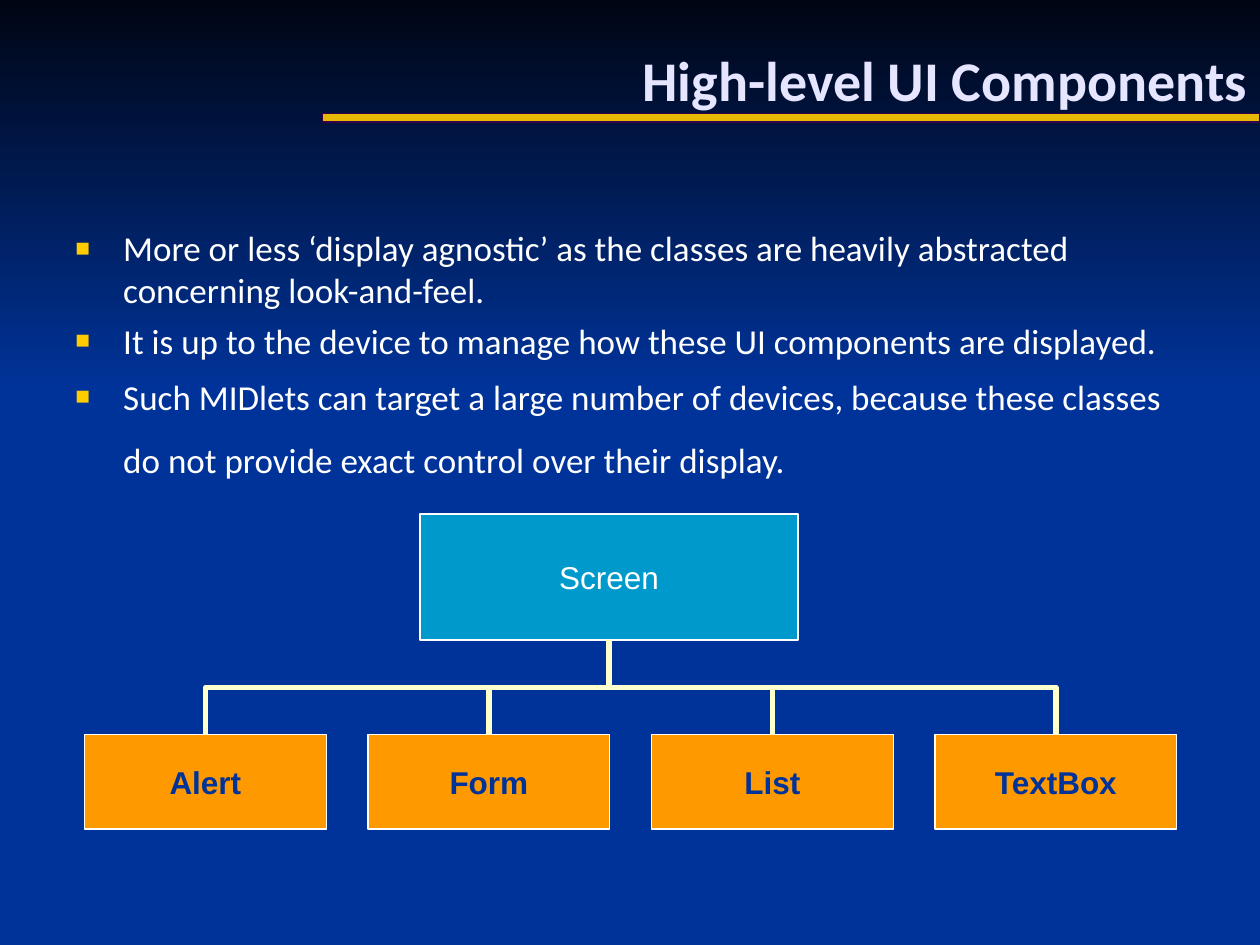
from pptx import Presentation
from pptx.util import Inches, Pt
from pptx.dml.color import RGBColor
from pptx.enum.shapes import MSO_SHAPE, MSO_CONNECTOR
from pptx.enum.text import PP_ALIGN, MSO_ANCHOR
from pptx.oxml.ns import qn
from lxml.etree import SubElement

# Content
TITLE = "High-level UI Components"
POINTS = [  # space before in points, then runs of text and size
    (0, [("More or less ‘display agnostic’ as the classes are heavily "
          "abstracted concerning look-and-feel.", 20)]),
    (5, [("It is up to the device to manage how these UI components "
          "are displayed.", 20)]),
    (8, [("Such MIDlets can target a large number of devices, because these "
          "classes do not provide exact control over their display.", 20),
         (" ", 32)]),
]
ROOT = "Screen"
KIDS = ["Alert", "Form", "List", "TextBox"]

# Style
HUE = {"navy": "003399", "night": "000514", "gold": "FFCC00",
       "edge": "380147", "pale": "E5E5FF", "white": "FFFFFF",
       "teal": "0099CC", "orange": "FF9900", "cream": "FFFFCC"}

# Grid, in inches
WIDE, HIGH = 10, 7.5
SKY = 3.09
LEFT, STEP = 0.67, 2.25
KID_W, KID_H, KID_Y = 1.92, 0.75, 5.83
ROOT_BOX = (WIDE / 3, 4.08, 3, 1)


def rgb(name):
    return RGBColor.from_string(HUE[name])


def add_run(para, text, size, font, hue, bold=False):
    run = para.add_run()
    run.text = text
    run.font.size = Pt(size)
    run.font.name = font
    run.font.bold = bold
    run.font.color.rgb = rgb(hue)


def add_rect(spot, hue, edge=None):
    rect = slide.shapes.add_shape(MSO_SHAPE.RECTANGLE, *map(Inches, spot))
    rect.shadow.inherit = False
    rect.fill.solid()
    rect.fill.fore_color.rgb = rgb(hue)
    if edge:
        rect.line.color.rgb = rgb(edge)
        rect.line.width = Pt(0.75)
    else:
        rect.line.fill.background()
    return rect


def add_node(spot, text, hue, ink, bold):
    node = add_rect(spot, hue, "white")
    node.text_frame.vertical_anchor = MSO_ANCHOR.MIDDLE
    para = node.text_frame.paragraphs[0]
    para.alignment = PP_ALIGN.CENTER
    add_run(para, text, 18, "Arial", ink, bold)
    return node


def add_text(spot):
    frame = slide.shapes.add_textbox(*map(Inches, spot)).text_frame
    frame.word_wrap = True
    return frame


def add_bullet(para):
    props = para._p.get_or_add_pPr()
    props.set("marL", str(Inches(0.38)))
    props.set("indent", str(-Inches(0.38)))
    tint = SubElement(props, qn("a:buClr"))
    SubElement(tint, qn("a:srgbClr"), val=HUE["gold"])
    SubElement(props, qn("a:buSzPct"), val="70000")
    SubElement(props, qn("a:buFont"), typeface="Arial")
    SubElement(props, qn("a:buChar"), char="■")


def add_link(top, kid):
    """Elbow that leaves downward: a turned box about the midpoint."""
    x1, y1 = top.left + top.width // 2, top.top + top.height
    x2, y2 = kid.left + kid.width // 2, kid.top
    link = slide.shapes.add_connector(MSO_CONNECTOR.ELBOW, x1, y1, x2, y2)
    link.begin_connect(top, 2)
    link.end_connect(kid, 0)
    run, drop = abs(x2 - x1), y2 - y1
    link.left, link.top = (x1 + x2 - drop) // 2, (y1 + y2 - run) // 2
    link.width, link.height = drop, run
    props = link._element.spPr
    form = props.find(qn("a:xfrm"))
    right = x2 > x1
    form.set("rot", str((270 if right else 90) * 60000))
    form.set("flipH", "1" if right else "0")
    link.line.color.rgb = rgb("cream")
    link.line.width = Pt(3)
    SubElement(props, qn("a:effectLst"))


deck = Presentation()
deck.slide_width, deck.slide_height = Inches(WIDE), Inches(HIGH)
slide = deck.slides.add_slide(deck.slide_layouts[6])

# Backdrop: flat navy with a dark fade at the top
slide.background.fill.solid()
slide.background.fill.fore_color.rgb = rgb("navy")
sky = add_rect((0, 0, WIDE, SKY), "navy")
sky.fill.gradient()
sky.fill.gradient_angle = 270
for stop, hue in zip(sky.fill.gradient_stops, ("night", "navy")):
    stop.color.rgb = rgb(hue)

# Title and its rule
rule = add_rect((2.56, 0.9, WIDE - 2.56, 0.07), "gold", "edge")
tint = rule._element.spPr.find(qn("a:solidFill")).find(qn("a:srgbClr"))
SubElement(tint, qn("a:alpha"), val="90000")
head = add_text((1, 0, 9, 1.25))
head.vertical_anchor = MSO_ANCHOR.MIDDLE
head.paragraphs[0].alignment = PP_ALIGN.RIGHT
add_run(head.paragraphs[0], TITLE, 32, "Calibri", "pale", True)

# Bullet points
body = add_text((0.5, 1.75, 9, 2.58))
for i, (gap, runs) in enumerate(POINTS):
    para = body.add_paragraph() if i else body.paragraphs[0]
    add_bullet(para)
    if gap:
        para.space_before = Pt(gap)
    for text, size in runs:
        add_run(para, text, size, "Calibri", "white")

# Class tree
top = add_node(ROOT_BOX, ROOT, "teal", "white", False)
for i, name in enumerate(KIDS):
    spot = (LEFT + i * STEP, KID_Y, KID_W, KID_H)
    add_link(top, add_node(spot, name, "orange", "navy", True))

deck.save("out.pptx")
